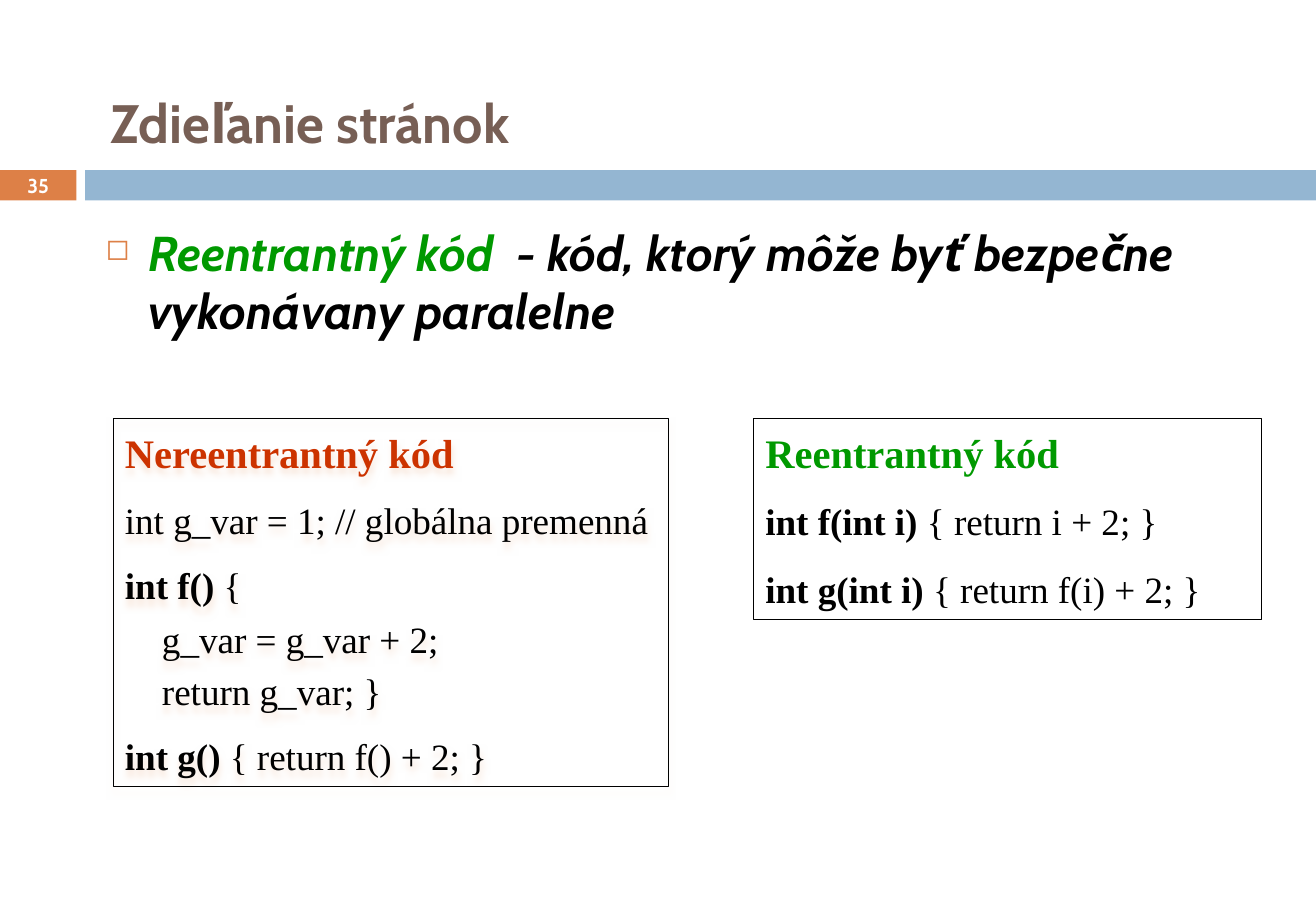
from lxml import etree
from pptx import Presentation
from pptx.dml.color import RGBColor
from pptx.enum.shapes import MSO_SHAPE
from pptx.enum.text import MSO_ANCHOR, PP_ALIGN
from pptx.oxml import parse_xml
from pptx.oxml.ns import nsdecls, qn
from pptx.util import Inches, Pt

RECTANGLE = MSO_SHAPE.RECTANGLE
MIDDLE, TOP = MSO_ANCHOR.MIDDLE, MSO_ANCHOR.TOP
LEFT, CENTER = PP_ALIGN.LEFT, PP_ALIGN.CENTER
ORANGE = RGBColor(0xDD, 0x80, 0x47)
BLUE = RGBColor(0x94, 0xB6, 0xD2)
BROWN = RGBColor(0x77, 0x5F, 0x55)
GREEN = RGBColor(0x00, 0x99, 0x00)
RED = RGBColor(0xCC, 0x33, 0x00)
BLACK = RGBColor(0, 0, 0)
WHITE = RGBColor(0xFF, 0xFF, 0xFF)
HEADING_FONT, CODE_FONT = "Cabin", "Times New Roman"

UNSAFE_CODE = [
    ("", "int g_var = 1; // globálna premenná", 1),
    ("int f()", " {", 1),
    ("", "    g_var = g_var + 2;", 0.7),
    ("", "    return g_var; }", 0.7),
    ("int g()", " { return f() + 2; }", 1),
]
SAFE_CODE = [
    ("int f(int i)", " { return i + 2; }", 1),
    ("int g(int i)", " { return f(i) + 2; }", 1),
]


def style(font, name, size, color, bold=True):
    """Set the face, size, colour and weight of a font."""
    font.name, font.size, font.bold = name, Pt(size), bold
    font.color.rgb = color


def add_bar(slide, box, color):
    """Draw a plain filled bar and return it."""
    bar = slide.shapes.add_shape(RECTANGLE, *map(Inches, box))
    bar.shadow.inherit = False
    bar.fill.solid()
    bar.fill.fore_color.rgb = color
    bar.line.fill.background()
    return bar


def add_header(slide, box, title, number):
    """Place the title above a band that carries the slide number."""
    left, top, width, height = box
    band_top, tab_width, gap = top + 0.73, 0.63, 0.07
    number_tab = add_bar(slide, (left, band_top, tab_width, 0.25), ORANGE)
    band_left = left + tab_width + gap
    add_bar(slide, (band_left, band_top, width - band_left, 0.25), BLUE)
    number_frame = number_tab.text_frame
    number_frame.margin_top = number_frame.margin_bottom = 0
    number_frame.vertical_anchor = MIDDLE
    number_line = number_frame.paragraphs[0]
    number_line.text, number_line.alignment = number, CENTER
    style(number_line.font, HEADING_FONT, 11.9, WHITE)

    heading = slide.shapes.add_textbox(*map(Inches, (left + 0.81, top, 9.21, 0.67)))
    heading.text_frame.word_wrap = True
    heading.text_frame.vertical_anchor = MIDDLE
    heading_line = heading.text_frame.paragraphs[0]
    heading_line.text = title
    style(heading_line.font, HEADING_FONT, 32, BROWN)


def add_definition(slide, box, term, meaning):
    """Place a bulleted definition with a coloured term."""
    body = slide.shapes.add_textbox(*map(Inches, box)).text_frame
    body.word_wrap = True
    definition = body.paragraphs[0]
    properties = definition._p.get_or_add_pPr()
    properties.set("marL", str(Inches(0.35)))
    properties.set("indent", str(-Inches(0.35)))
    color = etree.SubElement(properties, qn("a:buClr"))
    etree.SubElement(color, qn("a:srgbClr"), val=str(ORANGE))
    etree.SubElement(properties, qn("a:buSzPct"), val="60000")
    etree.SubElement(properties, qn("a:buChar"), char="◻")
    style(definition.font, HEADING_FONT, 29, BLACK)
    definition.font.italic = True
    for text, text_color in ((term, GREEN), (meaning, BLACK)):
        run = definition.add_run()
        run.text = text
        style(run.font, HEADING_FONT, 29, text_color)
        run.font.italic = True


def add_code_panel(slide, box, title, title_color, code, gap):
    """Place an outlined panel with a title and lines of code."""
    panel = slide.shapes.add_shape(RECTANGLE, *map(Inches, box))
    panel.shadow.inherit = False
    panel.fill.background()
    panel.line.color.rgb = BLACK
    panel.line.width = Pt(0.25)
    frame = panel.text_frame
    frame.word_wrap = True
    frame.vertical_anchor = TOP
    frame.margin_top = Inches(0.08)
    heading = frame.paragraphs[0]
    heading.text, heading.alignment = title, LEFT
    style(heading.font, CODE_FONT, 24, title_color)
    for signature, rest, spacing in code:
        line = frame.add_paragraph()
        line.alignment, line.line_spacing = LEFT, spacing
        line.space_before = Pt(gap)
        style(line.font, CODE_FONT, 22, BLACK, False)
        for text, bold in ((signature, True), (rest, False)):
            if text:
                run = line.add_run()
                run.text, run.font.bold = text, bold
    return panel


def add_glow(panel):
    """Give a panel and its text a soft shadow straight below."""
    effects = panel._element.spPr.find(qn("a:effectLst"))
    effects.append(parse_xml(
        f'<a:outerShdw {nsdecls("a")} blurRad="{Pt(4)}" dist="{Pt(4)}" dir="5400000" '
        'rotWithShape="0"><a:srgbClr val="F8E6DA"/></a:outerShdw>'))


def main():
    """Build the slide and save it."""
    deck = Presentation()
    deck.slide_width, deck.slide_height = Inches(10.83), Inches(7.5)
    slide = deck.slides.add_slide(deck.slide_layouts[6])
    add_header(slide, (0, 0.67, 10.83, 0.98), "Zdieľanie stránok", "35")
    add_definition(slide, (0.77, 1.78, 9.21, 1.5), "Reentrantný kód  ",
                   "- kód, ktorý môže byť bezpečne vykonávany paralelne")
    unsafe_panel = add_code_panel(slide, (0.93, 3.44, 4.57, 3.03),
                                  "Nereentrantný kód", RED, UNSAFE_CODE, 12.5)
    add_glow(unsafe_panel)
    add_code_panel(slide, (6.2, 3.44, 4.18, 1.66), "Reentrantný kód", GREEN, SAFE_CODE, 13.5)
    deck.save("out.pptx")


if __name__ == "__main__":
    main()
